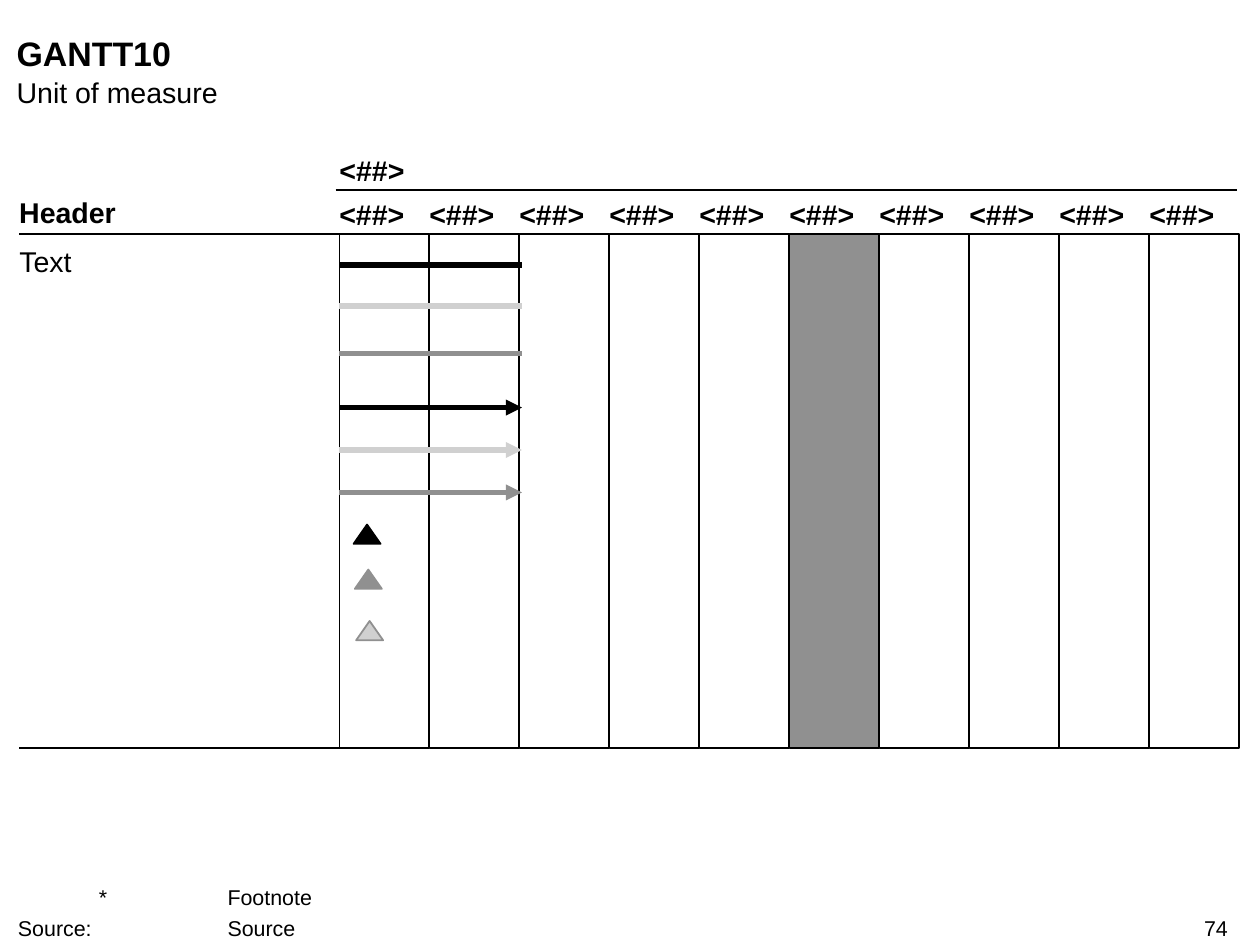
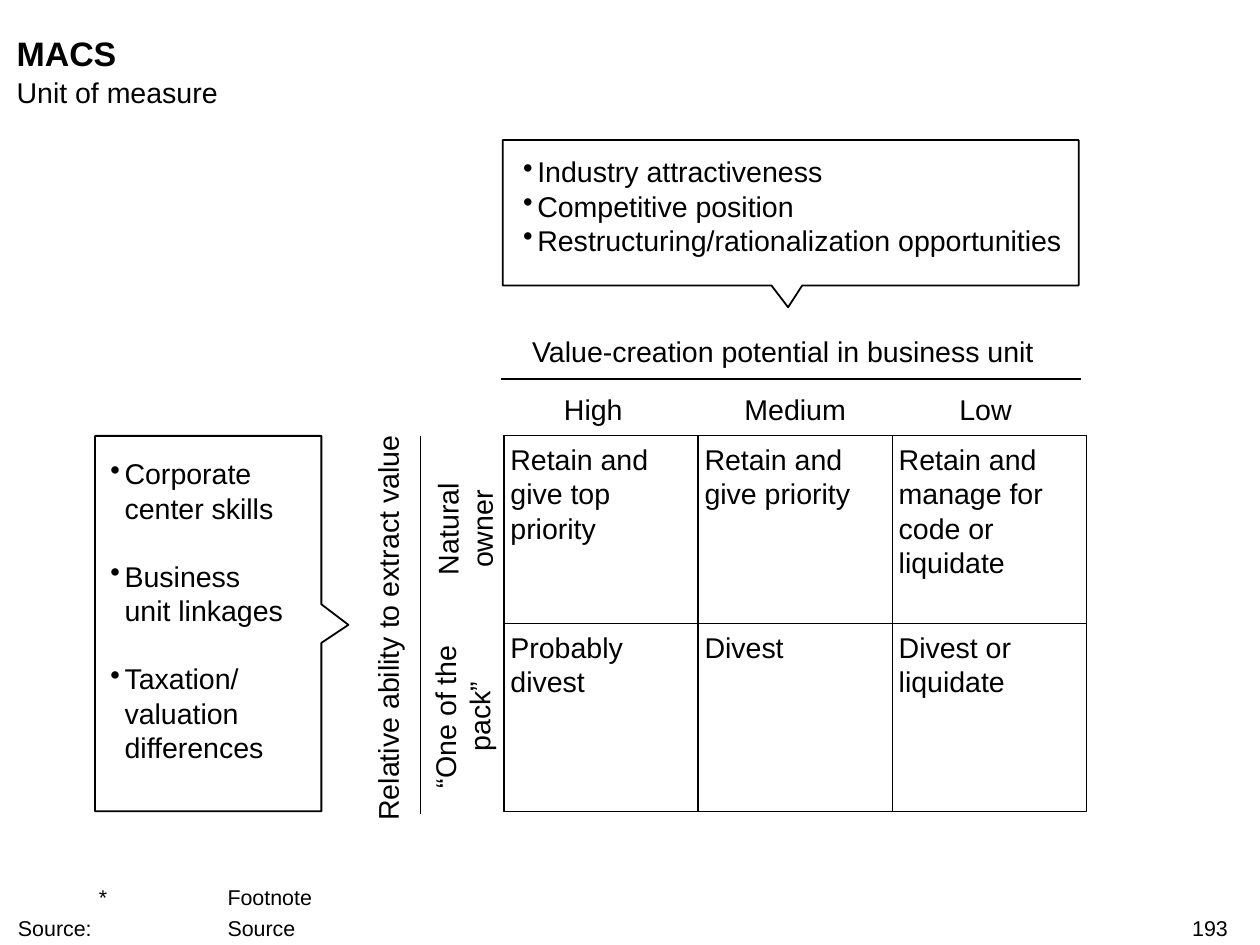
from lxml import etree
from pptx import Presentation
from pptx.dml.color import RGBColor
from pptx.enum.shapes import MSO_CONNECTOR, MSO_SHAPE
from pptx.enum.text import MSO_ANCHOR, PP_ALIGN
from pptx.oxml.ns import qn
from pptx.util import Pt

PX = 9144  # one hundredth of an inch
FONT = "Arial"
BLACK = RGBColor(0x00, 0x00, 0x00)
GRAY = RGBColor(0x90, 0x90, 0x90)
LIGHT = RGBColor(0xD0, 0xD0, 0xD0)
WHITE = RGBColor(0xFF, 0xFF, 0xFF)
LEFT, CENTER, RIGHT = PP_ALIGN.LEFT, PP_ALIGN.CENTER, PP_ALIGN.RIGHT
TOP, BOTTOM = MSO_ANCHOR.TOP, MSO_ANCHOR.BOTTOM
RECT, PEAK = MSO_SHAPE.RECTANGLE, MSO_SHAPE.ISOSCELES_TRIANGLE
STRAIGHT = MSO_CONNECTOR.STRAIGHT


def emu(*sizes):
    return [size * PX for size in sizes]


def add_child(parent, tag, **attrs):
    node = etree.SubElement(parent, qn(tag))
    for key, value in attrs.items():
        node.set(key, str(value))
    return node


def write(shape, text, size=16, bold=False, align=LEFT, anchor=TOP,
          inset=0, gap=0, bullet=False, tabs=()):
    """Fill a shape with text: newline parts paragraphs, \\v breaks a line."""
    frame = shape.text_frame
    frame.word_wrap = True
    frame.vertical_anchor = anchor
    frame.margin_left = frame.margin_right = inset * PX
    frame.margin_top = frame.margin_bottom = inset * PX
    for i, line in enumerate(text.split("\n")):
        para = frame.paragraphs[0] if i == 0 else frame.add_paragraph()
        para.text = line
        para.alignment = align
        if i and gap:
            para.space_before = Pt(gap)
        props = para._p.get_or_add_pPr()
        if bullet:
            props.set("marL", str(11 * PX))
            props.set("indent", str(-11 * PX))
            add_child(props, "a:buChar", char="•")
        if tabs:
            stops = add_child(props, "a:tabLst")
            for stop in tabs:
                add_child(stops, "a:tab", pos=stop * PX, algn="l")
        for run in para.runs:
            font = run.font
            font.name, font.size, font.bold = FONT, Pt(size), bold
            font.color.rgb = BLACK
        for brk in para._p.findall(qn("a:br")):
            add_child(brk, "a:rPr", sz=size * 100)


def add_text(slide, x, y, w, h, text, turn=0, **style):
    box = slide.shapes.add_textbox(*emu(x, y, w, h))
    box.rotation = turn
    write(box, text, **style)


def paint(shape, fill, line=BLACK, width=1):
    shape.shadow.inherit = False
    shape.fill.solid()
    shape.fill.fore_color.rgb = fill
    shape.line.color.rgb = line
    shape.line.width = Pt(width)


def add_box(slide, kind, x, y, w, h, fill, **line):
    shape = slide.shapes.add_shape(kind, *emu(x, y, w, h))
    paint(shape, fill, **line)
    return shape


def add_line(slide, x1, y1, x2, y2, color=BLACK, width=1, arrow=False):
    line = slide.shapes.add_connector(STRAIGHT, *emu(x1, y1, x2, y2))
    line.line.color.rgb = color
    line.line.width = Pt(width)
    if arrow:
        add_child(line.line._get_or_add_ln(), "a:tailEnd", type="triangle")
    add_child(line._element.spPr, "a:effectLst")


def add_callout(slide, x, y, points):
    """Draw an outline whose points are relative to its top left corner."""
    first, *rest = [(x + dx, y + dy) for dx, dy in points]
    pen = slide.shapes.build_freeform(*first, scale=PX)
    pen.add_line_segments(rest, close=True)
    paint(pen.convert_to_shape(), WHITE)


def add_page(deck, title, number):
    """Start a slide with the title, footnote and page number all share."""
    slide = deck.slides.add_slide(deck.slide_layouts[6])
    add_text(slide, 13, 25, 943, 32, title, size=19, bold=True)
    add_text(slide, 13, 58, 943, 27, "Unit of measure")
    add_text(slide, 14, 688, 700, 44, "\t*\tFootnote\nSource:\t\tSource",
             size=12, anchor=BOTTOM, gap=3, tabs=(63, 163))
    add_text(slide, 751, 712, 204, 20, number, size=12, align=RIGHT)
    return slide


def add_grid(slide, x, y, step, height, count, marked):
    """Draw the time columns, with headings above and one column shaded."""
    for i in range(count):
        left = x + i * step
        fill = GRAY if i == marked else WHITE
        add_box(slide, RECT, left, y, step, height, fill)
        add_text(slide, left, y - 29, step - 7, 27, "<##>", bold=True)
    add_line(slide, x - 3, y - 34, x + count * step - 2, y - 34)
    add_text(slide, x, y - 63, count * step - 5, 27, "<##>", bold=True)


def add_tasks(slide, x, y, height):
    """Draw the column of task names, left of the grid."""
    for edge in (y, y + height):
        add_line(slide, x, edge, x + 251, edge)
    add_text(slide, x, y - 30, 236, 27, "Header", bold=True)
    add_text(slide, x, y + 8, 249, 27, "Text")


def add_marks(slide, x, y):
    """Draw the bars, arrows and milestones that fill the grid."""
    bars = [(24, BLACK, False), (56, LIGHT, False), (93, GRAY, False),
            (135, BLACK, True), (168, LIGHT, True), (201, GRAY, True)]
    for dy, color, arrow in bars:
        add_line(slide, x, y + dy, x + 142, y + dy, color, 3, arrow)
    peaks = [(11, 226, BLACK, BLACK), (12, 261, GRAY, GRAY),
             (13, 301, LIGHT, GRAY)]
    for dx, dy, fill, line in peaks:
        add_box(slide, PEAK, x + dx, y + dy, 21, 15, fill, line=line)


def add_gantt(deck):
    slide = add_page(deck, "GANTT10", "74")
    add_grid(slide, 264, 182, 70, 400, count=10, marked=5)
    add_tasks(slide, 15, 182, 400)
    add_marks(slide, 264, 182)


def add_cells(slide, x, y, w, h):
    rows = [("Retain and give top priority", "Retain and give priority",
             "Retain and manage for code or liquidate"),
            ("Probably divest", "Divest", "Divest or liquidate")]
    for i, row in enumerate(rows):
        for j, text in enumerate(row):
            cell = add_box(slide, RECT, x + j * w, y + i * h, w, h, WHITE,
                           width=0.75)
            write(cell, text, inset=5)


def add_axes(slide, x, y):
    """Label both axes of the matrix whose top left corner is given."""
    add_line(slide, x - 2, y - 44, x + 449, y - 44)
    add_line(slide, x - 65, y, x - 65, y + 294)
    add_text(slide, x - 5, y - 79, 444, 27,
             "Value-creation potential in business unit", align=CENTER)
    for dx, name in ((3, "High"), (160, "Medium"), (308, "Low")):
        add_text(slide, x + dx, y - 34, 133, 27, name, align=CENTER)
    sides = [(-265, 136, 349, 27, "Relative ability to extract value"),
             (-96, 46, 130, 53, "Natural owner"),
             (-105, 192, 144, 53, "“One of the pack”")]
    for dx, dy, w, h, name in sides:
        add_text(slide, x + dx, y + dy, w, h, name, turn=270, align=CENTER)


def add_value(slide, x, y):
    add_callout(slide, x, y, [(0, 0), (448, 0), (448, 113), (233, 113),
                              (222, 130), (209, 113), (0, 113)])
    add_text(slide, x + 16, y + 11, 423, 80,
             "Industry attractiveness\nCompetitive position\n"
             "Restructuring/rationalization opportunities", bullet=True)


def add_skills(slide, x, y):
    add_callout(slide, x, y, [(0, 0), (176, 0), (176, 131), (197, 147),
                              (176, 161), (176, 292), (0, 292)])
    add_text(slide, x + 12, y + 16, 156, 240,
             "Corporate\vcenter skills\nBusiness\vunit linkages\n"
             "Taxation/\vvaluation\vdifferences", gap=19, bullet=True)


def add_matrix(deck):
    slide = add_page(deck, "MACS", "193")
    add_value(slide, 391, 109)
    add_skills(slide, 74, 339)
    add_axes(slide, 392, 339)
    add_cells(slide, 392, 339, 151, 146)


def main():
    deck = Presentation()
    deck.slide_width, deck.slide_height = emu(980, 735)
    add_gantt(deck)
    add_matrix(deck)
    deck.save("out.pptx")


if __name__ == "__main__":
    main()
